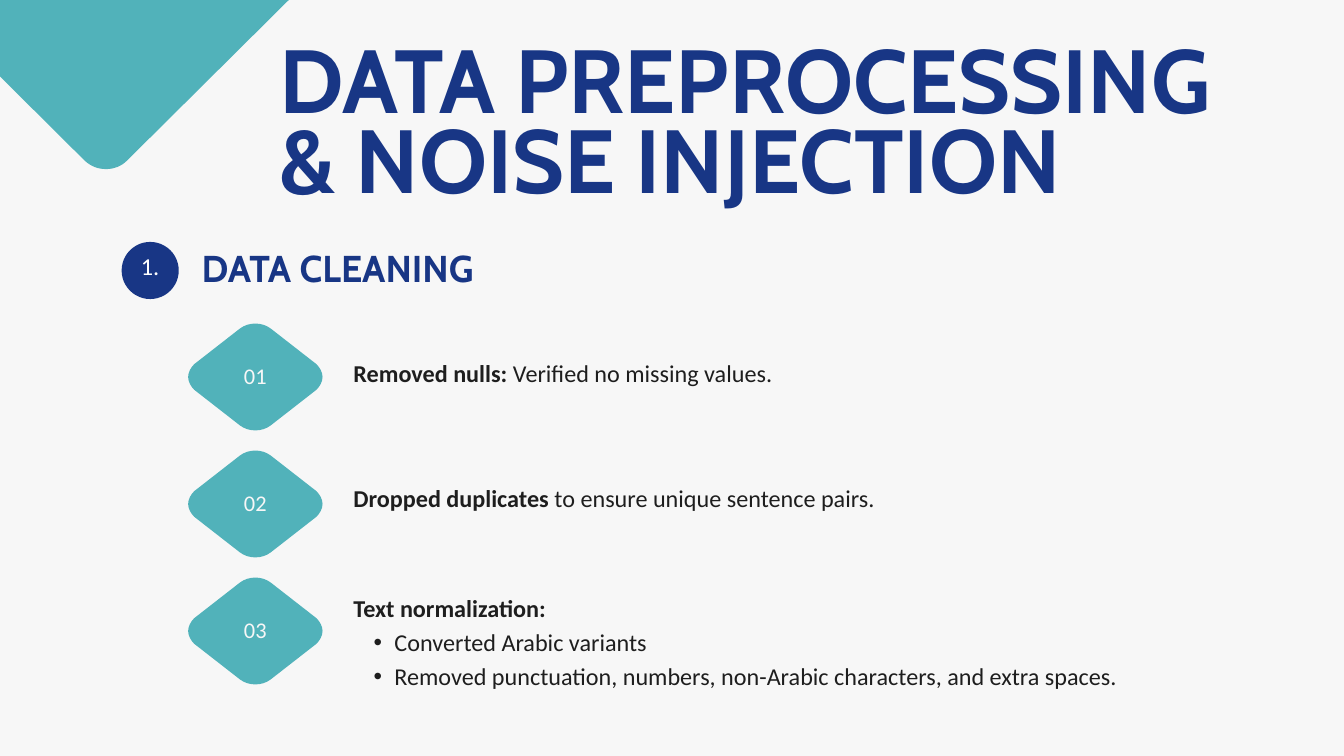
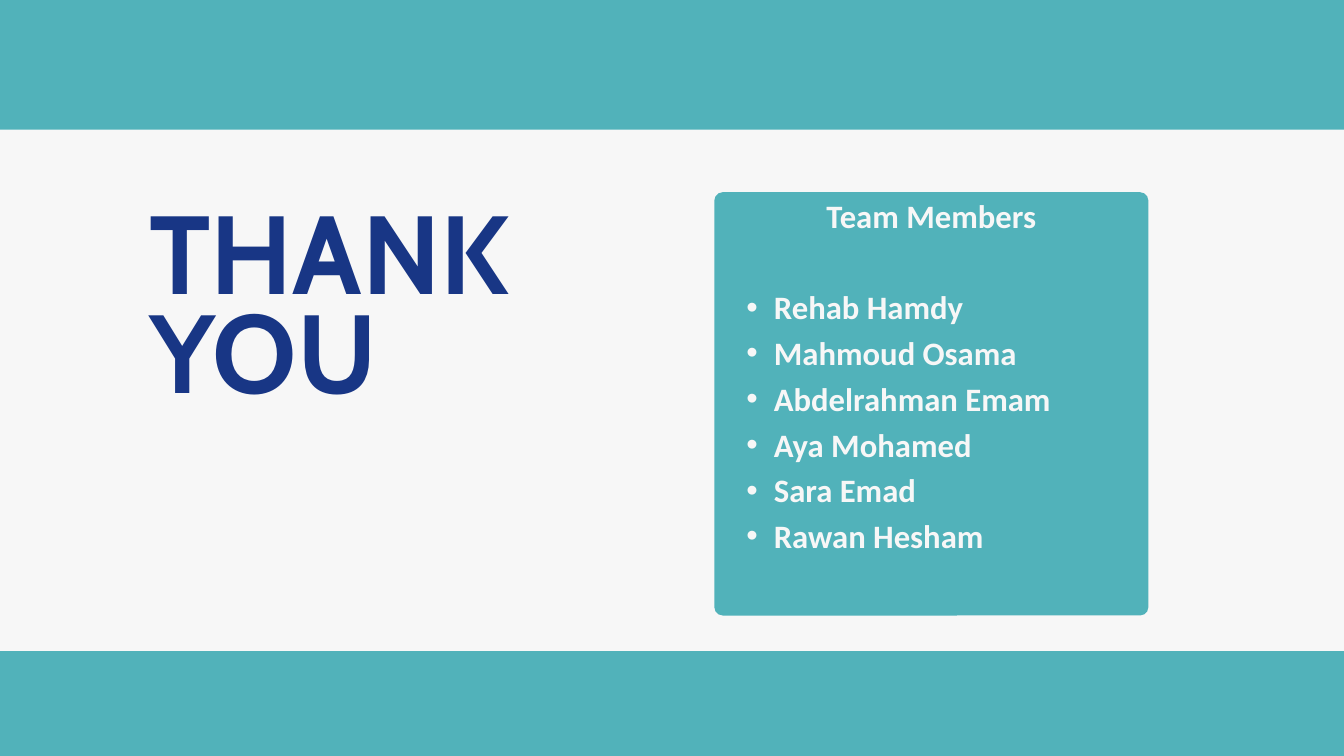
from dataclasses import dataclass

from lxml import etree
from pptx import Presentation
from pptx.dml.color import RGBColor
from pptx.enum.shapes import MSO_SHAPE
from pptx.enum.text import MSO_ANCHOR, PP_ALIGN
from pptx.oxml.ns import qn
from pptx.util import Inches, Pt

RECT, OVAL, ROUNDED = MSO_SHAPE.RECTANGLE, MSO_SHAPE.OVAL, MSO_SHAPE.ROUNDED_RECTANGLE
TOP, MIDDLE = MSO_ANCHOR.TOP, MSO_ANCHOR.MIDDLE
LEFT, CENTER, JUSTIFY = PP_ALIGN.LEFT, PP_ALIGN.CENTER, PP_ALIGN.JUSTIFY

SLIDE_W, SLIDE_H = 20, 11.25


@dataclass(frozen=True)
class Theme:
    paper: str = "F7F7F7"
    teal: str = "51B2BA"
    navy: str = "183685"
    ink: str = "1E1E1E"
    white: str = "FFFFFF"
    head_font: str = "Cabin"
    body_font: str = "Calibri"
    title: float = 96
    closing: float = 118.9
    section: float = 40
    team: float = 35
    badge: float = 26
    body: float = 25.9
    step: float = 24


THEME = Theme()

# Outlines: one point is a straight line, three points are a curve
CORNER = [
    [(1.89, 2.39)], [(11.54, -7.19)],
    [(11.59, -7.24), (11.6, -7.32), (11.58, -7.39)],
    [(11.55, -7.46), (11.48, -7.5), (11.41, -7.5)],
    [(-8.25, -7.5)],
    [(-8.32, -7.5), (-8.39, -7.46), (-8.42, -7.39)],
    [(-8.45, -7.32), (-8.43, -7.24), (-8.38, -7.19)],
    [(1.26, 2.39)],
    [(1.44, 2.56), (1.72, 2.56), (1.89, 2.39)],
]
HALF_DIAMOND = [
    [(0.91, -0.19)],
    [(0.96, -0.14), (1, -0.07), (1, 0)],
    [(1, 0.07), (0.96, 0.14), (0.91, 0.19)],
    [(0.23, 0.72)],
    [(0.1, 0.82), (-0.1, 0.82), (-0.23, 0.72)],
]


def rgb(value):
    return RGBColor.from_string(value)


def rounded_diamond(cx, cy):
    halves = [[(cx + sign * x, cy + sign * y) for x, y in segment]
              for sign in (1, -1) for segment in HALF_DIAMOND]
    return [[halves[-1][-1]], *halves]


class Deck:
    def __init__(self, theme):
        self.theme = theme
        self.prs = Presentation()
        self.prs.slide_width = Inches(SLIDE_W)
        self.prs.slide_height = Inches(SLIDE_H)
        self.slide = None

    def new_slide(self):
        self.slide = self.prs.slides.add_slide(self.prs.slide_layouts[6])
        fill = self.slide.background.fill
        fill.solid()
        fill.fore_color.rgb = rgb(self.theme.paper)

    def paint(self, sp, color):
        sp.shadow.inherit = False
        sp.fill.solid()
        sp.fill.fore_color.rgb = rgb(color)
        sp.line.fill.background()
        return sp

    def shape(self, kind, x, y, w, h, color):
        sp = self.slide.shapes.add_shape(kind, Inches(x), Inches(y), Inches(w), Inches(h))
        return self.paint(sp, color)

    def outline(self, segments, color):
        emu = [(Inches(x), Inches(y)) for segment in segments for x, y in segment]
        builder = self.slide.shapes.build_freeform(*emu[0])
        builder.add_line_segments(emu[1:], close=True)
        sp = builder.convert_to_shape()
        # Merge each group of three lines into one curve
        lines = iter(list(sp._element.iter(qn("a:lnTo"))))
        for segment in segments[1:]:
            first, *others = [next(lines) for _ in segment]
            if others:
                first.tag = qn("a:cubicBezTo")
                for line in others:
                    first.append(line[0])
                    line.getparent().remove(line)
        return self.paint(sp, color)

    def frame(self, sp, anchor=TOP, inset=0):
        tf = sp.text_frame
        tf.word_wrap = True
        tf.vertical_anchor = anchor
        tf.margin_left = tf.margin_right = Inches(inset)
        tf.margin_top = tf.margin_bottom = 0
        return tf

    def text_box(self, x, y, w, h):
        return self.frame(self.slide.shapes.add_textbox(Inches(x), Inches(y), Inches(w), Inches(h)))

    def paragraph(self, tf, runs, size, color, spacing, font=None, align=LEFT, indent=None):
        """Add a line of (text, bold) runs; indent is (left, hanging) for a bullet."""
        p = tf.paragraphs[0]
        if p.runs:
            p = tf.add_paragraph()
        p.alignment = align
        p.line_spacing = Pt(spacing)
        for text, bold in runs:
            r = p.add_run()
            r.text = text
            r.font.name = font or self.theme.body_font
            r.font.size = Pt(size)
            r.font.bold = bold
            r.font.color.rgb = rgb(color)
        if indent:
            p.level = 1
            pPr = p._p.get_or_add_pPr()
            pPr.set("marL", str(Inches(indent[0])))
            pPr.set("indent", str(-Inches(indent[1])))
            etree.SubElement(pPr, qn("a:buFont")).set("typeface", "Arial")
            etree.SubElement(pPr, qn("a:buChar")).set("char", "•")
        return p

    def heading(self, text, x, y, w, h, size, spacing):
        self.paragraph(self.text_box(x, y, w, h), [(text, True)], size, self.theme.navy,
                       spacing, self.theme.head_font)

    def label(self, sp, text, size, color, spacing):
        # A tight line spacing lifts the number slightly above the middle
        self.paragraph(self.frame(sp, MIDDLE), [(text, False)], size, color, spacing, align=CENTER)

    def step(self, number, cy):
        sp = self.outline(rounded_diamond(3.8, cy), self.theme.teal)
        self.label(sp, f"{number:02}", self.theme.step, self.theme.paper, 25.6)

    def body(self, runs, bullets, y, w, h):
        style = dict(size=self.theme.body, color=self.theme.ink, spacing=36.3, align=JUSTIFY)
        tf = self.text_box(5.26, y, w, h)
        self.paragraph(tf, runs, **style)
        for bullet in bullets:
            self.paragraph(tf, [(bullet, False)], indent=(0.61, 0.31), **style)

    def band(self, x, y):
        self.shape(RECT, x, y, 23.53, 2.29, self.theme.teal)


def preprocessing_slide(deck):
    theme = deck.theme
    deck.new_slide()

    # Corner and title
    deck.outline(CORNER, theme.teal)
    deck.heading("DATA PREPROCESSING & NOISE INJECTION", 4.16, 0.75, 14.72, 2.49,
                 theme.title, 86.4)

    # Cleaning steps: runs, bullets, text top, width, height
    steps = [
        ([("Removed nulls: ", True), ("Verified no missing values.", False)],
         [], 5.26, 9.37, 0.98),
        ([("Dropped duplicates", True), (" to ensure unique sentence pairs.", False)],
         [], 7.12, 9.37, 0.98),
        ([("Text normalization:", True)],
         ["Converted Arabic variants",
          "Removed punctuation, numbers, non-Arabic characters, and extra spaces."],
         8.76, 14, 2.49),
    ]
    for i, content in enumerate(steps):
        deck.body(*content)
        deck.step(i + 1, 5.61 + 1.89 * i)

    # Section heading with its number
    badge = deck.shape(OVAL, 1.81, 3.6, 0.85, 0.85, theme.navy)
    deck.label(badge, "1.", theme.badge, theme.white, 22)
    deck.heading("DATA CLEANING", 3, 3.82, 14.16, 0.53, theme.section, 36)


def closing_slide(deck):
    theme = deck.theme
    deck.new_slide()

    # Closing words
    deck.heading("THANK YOU", 2.22, 3.22, 6.72, 3.11, theme.closing, 107)

    # Team card
    card = deck.shape(ROUNDED, 10.63, 2.86, 6.46, 6.3, theme.teal)
    card.adjustments[0] = 0.02
    tf = deck.frame(card, TOP, 0.02)
    style = dict(size=theme.team, color=theme.paper)
    p = deck.paragraph(tf, [("Team Members", True)], spacing=43.2, align=CENTER, **style)
    p.space_after = Pt(49)
    for name in ("Rehab Hamdy", "Mahmoud Osama", "Abdelrahman Emam",
                 "Aya Mohamed", "Sara Emad", "Rawan Hesham"):
        deck.paragraph(tf, [(name, True)], spacing=49, indent=(0.83, 0.41), **style)

    # Bands that bleed past the slide edges
    deck.band(-1.13, 9.69)
    deck.band(-0.97, -0.36)


def main():
    deck = Deck(THEME)
    preprocessing_slide(deck)
    closing_slide(deck)
    deck.prs.save("out.pptx")


if __name__ == "__main__":
    main()
